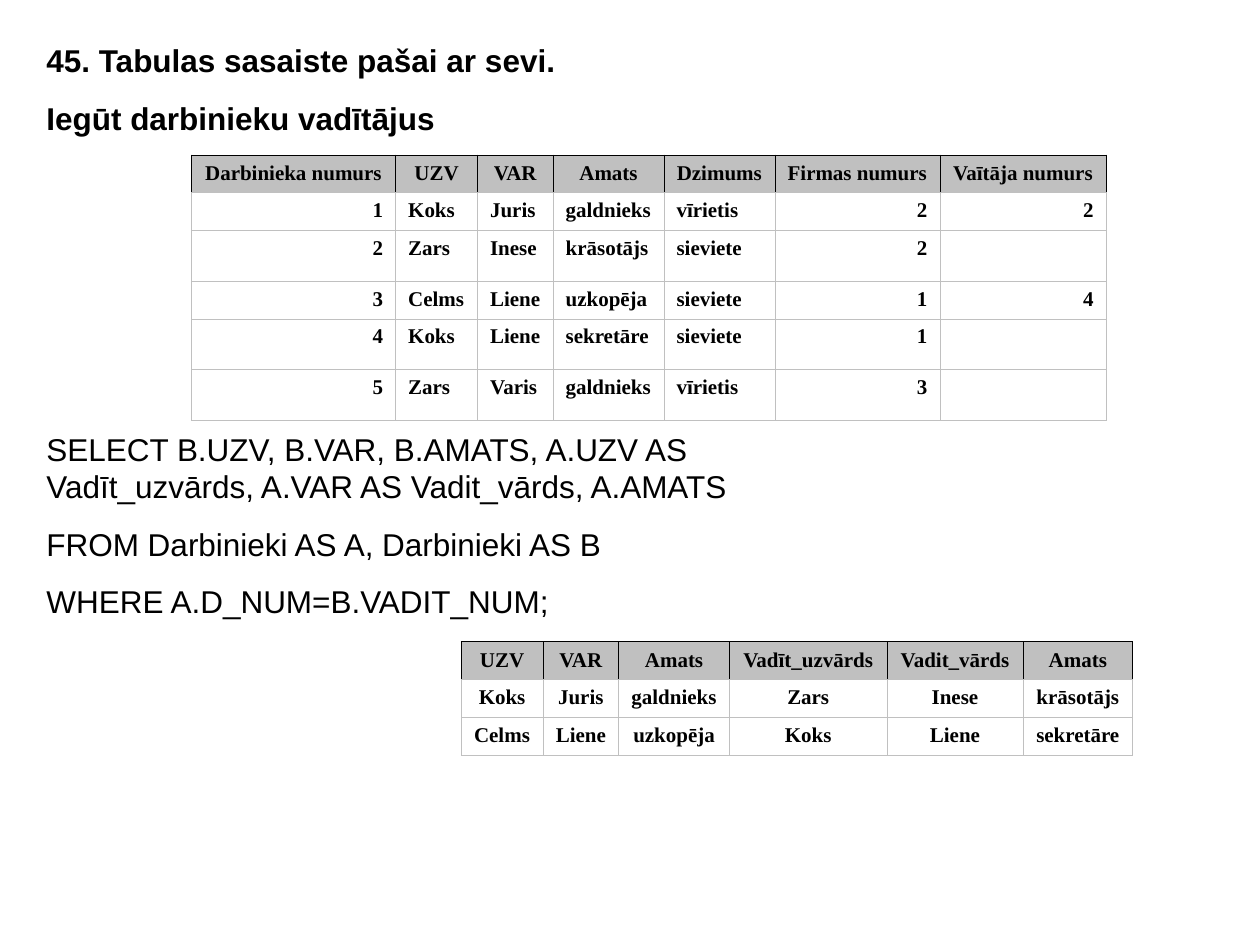
from lxml.etree import SubElement
from pptx import Presentation
from pptx.dml.color import RGBColor
from pptx.enum.text import MSO_ANCHOR, MSO_AUTO_SIZE, PP_ALIGN
from pptx.oxml.ns import qn
from pptx.util import Inches, Pt

COLORS = {"ink": "000000", "grey": "C0C0C0", "paper": "FFFFFF"}
BORDER_WIDTH = Pt(0.45)
ROW_HEIGHT = 0.3

EMPLOYEES = [
    ["Darbinieka numurs", "UZV", "VAR", "Amats", "Dzimums", "Firmas numurs", "Vaītāja numurs"],
    ["1", "Koks", "Juris", "galdnieks", "vīrietis", "2", "2"],
    ["2", "Zars", "Inese", "krāsotājs", "sieviete", "2", ""],
    ["3", "Celms", "Liene", "uzkopēja", "sieviete", "1", "4"],
    ["4", "Koks", "Liene", "sekretāre", "sieviete", "1", ""],
    ["5", "Zars", "Varis", "galdnieks", "vīrietis", "3", ""],
]
MANAGERS = [
    ["UZV", "VAR", "Amats", "Vadīt_uzvārds", "Vadit_vārds", "Amats"],
    ["Koks", "Juris", "galdnieks", "Zars", "Inese", "krāsotājs"],
    ["Celms", "Liene", "uzkopēja", "Koks", "Liene", "sekretāre"],
]
HEADING = ["45. Tabulas sasaiste pašai ar sevi.", "Iegūt darbinieku vadītājus"]
QUERY = [
    "SELECT B.UZV, B.VAR, B.AMATS, A.UZV AS Vadīt_uzvārds, A.VAR AS Vadit_vārds, A.AMATS",
    "FROM Darbinieki AS A, Darbinieki AS B",
    "WHERE A.D_NUM=B.VADIT_NUM;",
]


def set_font(paragraph, face, size, bold):
    """Give a paragraph its typeface, size and weight in the ink colour."""
    font = paragraph.font
    font.name, font.size, font.bold = face, Pt(size), bold
    font.color.rgb = RGBColor.from_string(COLORS["ink"])


def add_text(slide, left, top, width, height, lines, bold=False):
    """Add a text box with one paragraph per line."""
    box = slide.shapes.add_textbox(Inches(left), Inches(top), Inches(width), Inches(height))
    frame = box.text_frame
    frame.word_wrap = True
    frame.auto_size = MSO_AUTO_SIZE.SHAPE_TO_FIT_TEXT
    frame.text = "\n".join(lines)
    for index, paragraph in enumerate(frame.paragraphs):
        set_font(paragraph, "Arial", 18, bold)
        if index:
            paragraph.space_before = Pt(11.2)


def set_borders(cell, edge_colors):
    """Draw the left, right, top and bottom borders of a cell."""
    properties = cell._tc.get_or_add_tcPr()
    for position, (side, color) in enumerate(zip("LRTB", edge_colors)):
        line = SubElement(properties, qn(f"a:ln{side}"), w=str(BORDER_WIDTH))
        fill = SubElement(line, qn("a:solidFill"))
        SubElement(fill, qn("a:srgbClr"), val=COLORS[color])
        properties.insert(position, line)


def fill_cell(cell, text, is_header, alignment):
    """Style one table cell and write its text."""
    cell.fill.solid()
    cell.fill.fore_color.rgb = RGBColor.from_string(COLORS["grey" if is_header else "paper"])
    edge = "ink" if is_header else "grey"
    set_borders(cell, [edge, edge, edge, "grey"])
    if is_header:
        cell.vertical_anchor = MSO_ANCHOR.MIDDLE
    if text:
        cell.text = text
        paragraph = cell.text_frame.paragraphs[0]
        paragraph.alignment = alignment
        set_font(paragraph, "Times New Roman", 12, True)


def add_data_table(slide, left, top, widths, rows, body_alignment):
    """Add a table with a grey header; numbers in the body align right."""
    table = slide.shapes.add_table(
        len(rows), len(widths), Inches(left), Inches(top),
        Inches(sum(widths)), Inches(ROW_HEIGHT * len(rows))).table
    table.first_row = table.horz_banding = False
    for column, width in zip(table.columns, widths):
        column.width = Inches(width)
    for row_index, values in enumerate(rows):
        table.rows[row_index].height = Inches(ROW_HEIGHT)
        is_header = row_index == 0
        for column_index, text in enumerate(values):
            alignment = PP_ALIGN.RIGHT if text.isdigit() else body_alignment
            fill_cell(table.cell(row_index, column_index), text, is_header,
                      PP_ALIGN.CENTER if is_header else alignment)


def main():
    """Build the slide on joining a table to itself."""
    presentation = Presentation()
    presentation.slide_width, presentation.slide_height = Inches(10), Inches(7.5)
    slide = presentation.slides.add_slide(presentation.slide_layouts[6])
    add_text(slide, 0.27, 0.28, 5, 0.86, HEADING, bold=True)
    add_data_table(slide, 1.52, 1.23, [1.62, 0.65, 0.6, 0.88, 0.88, 1.31, 1.32],
                   EMPLOYEES, PP_ALIGN.LEFT)
    add_text(slide, 0.27, 3.36, 6.06, 1.62, QUERY)
    add_data_table(slide, 3.66, 5.09, [0.65, 0.6, 0.88, 1.25, 1.08, 0.87],
                   MANAGERS, PP_ALIGN.CENTER)
    presentation.save("out.pptx")


if __name__ == "__main__":
    main()
